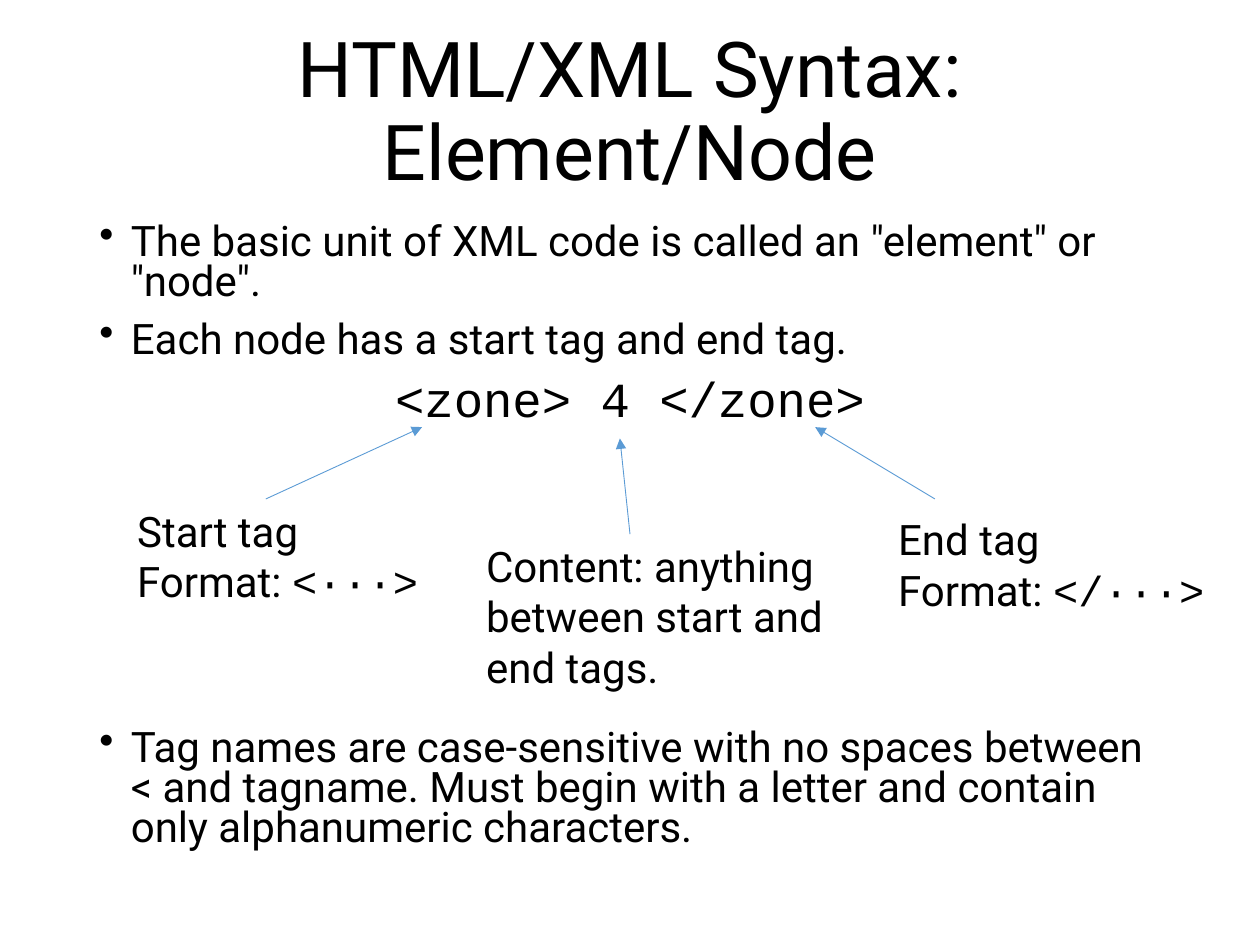
from pptx import Presentation
from pptx.dml.color import RGBColor
from pptx.enum import shapes, text
from pptx.oxml.ns import qn
from pptx.util import Inches, Pt

SANS, MONO = "Roboto", "Courier New"
INK, BLUE = "000000", "5B9BD5"

TITLE = "HTML/XML Syntax: Element/Node"
BODY = [
    ("The basic unit of XML code is called an \"element\" or \"node\".", True, 10),
    ("Each node has a start tag and end tag.", True, 10),
    ("<zone> 4 </zone>", False, 10),
    ("Tag names are case-sensitive with no spaces between < and tagname. "
     "Must begin with a letter and contain only alphanumeric characters.", True, 173),
]
NOTES = [
    ((0.99, 3.96, 2.46, 0.91), [("Start tag", ""), ("Format: ", "<∙∙∙>")]),
    ((7.03, 4.03, 2.66, 0.91), [("End tag", ""), ("Format: ", "</∙∙∙>")]),
    ((3.76, 4.24, 2.89, 1.31),
     [("Content: anything", ""), ("between start and", ""), ("end tags.", "")]),
]
ARROWS = [
    (2.11, 3.96, 3.35, 3.39),
    (7.42, 3.96, 6.47, 3.39),
    (5, 4.24, 4.92, 3.48),
]


def color(code):
    return RGBColor.from_string(code)


def add_box(slide, area, wrap=True):
    frame = slide.shapes.add_textbox(*map(Inches, area)).text_frame
    frame.word_wrap = wrap
    return frame


def get_para(frame, first):
    return frame.paragraphs[0] if first else frame.add_paragraph()


def style(para, size, face=None):
    para.font.size = Pt(size)
    para.font.color.rgb = color(INK)
    if face:
        para.font.name = face


def add_bullet(para):
    props = para._p.get_or_add_pPr()
    props.set("marL", str(Inches(0.25)))
    props.set("indent", str(Inches(-0.25)))
    mark = props.makeelement(qn("a:buChar"), {"char": "•"})
    props.insert_element_before(mark, "a:tabLst", "a:defRPr", "a:extLst")


def add_title(slide):
    frame = add_box(slide, (0.69, 0.18, 8.62, 1.45))
    frame.vertical_anchor = text.MSO_ANCHOR.MIDDLE
    para = frame.paragraphs[0]
    para.text = TITLE
    para.alignment = text.PP_ALIGN.CENTER
    para.line_spacing = 0.9
    style(para, 44, SANS)


def add_body(slide):
    frame = add_box(slide, (0.69, 1.73, 8.62, 5.23))
    for i, (words, bullet, gap) in enumerate(BODY):
        para = get_para(frame, i == 0)
        para.text = words
        para.line_spacing = 0.8
        para.space_before = Pt(gap)
        if bullet:
            style(para, 24, SANS)
            add_bullet(para)
        else:
            style(para, 28, MONO)
            para.alignment = text.PP_ALIGN.CENTER


def add_note(slide, area, lines):
    frame = add_box(slide, area, False)
    frame.auto_size = text.MSO_AUTO_SIZE.SHAPE_TO_FIT_TEXT
    for i, (words, code) in enumerate(lines):
        para = get_para(frame, i == 0)
        style(para, 24, None if code else SANS)
        for part, face in ((words, SANS), (code, MONO)):
            if part:
                run = para.add_run()
                run.text = part
                if code:
                    run.font.name = face


def add_arrow(slide, ends):
    line = slide.shapes.add_connector(
        shapes.MSO_CONNECTOR.STRAIGHT, *map(Inches, ends))
    line.line.color.rgb = color(BLUE)
    line.line.width = Pt(0.5)
    stroke = line.line._get_or_add_ln()
    stroke.append(stroke.makeelement(qn("a:tailEnd"), {"type": "triangle"}))
    props = line._element.spPr
    props.append(props.makeelement(qn("a:effectLst"), {}))


def main():
    deck = Presentation()
    deck.slide_width, deck.slide_height = Inches(10), Inches(7.5)
    slide = deck.slides.add_slide(deck.slide_layouts[6])
    add_title(slide)
    add_body(slide)
    for (area, lines), ends in zip(NOTES, ARROWS):
        add_note(slide, area, lines)
        add_arrow(slide, ends)
    deck.save("out.pptx")


if __name__ == "__main__":
    main()
